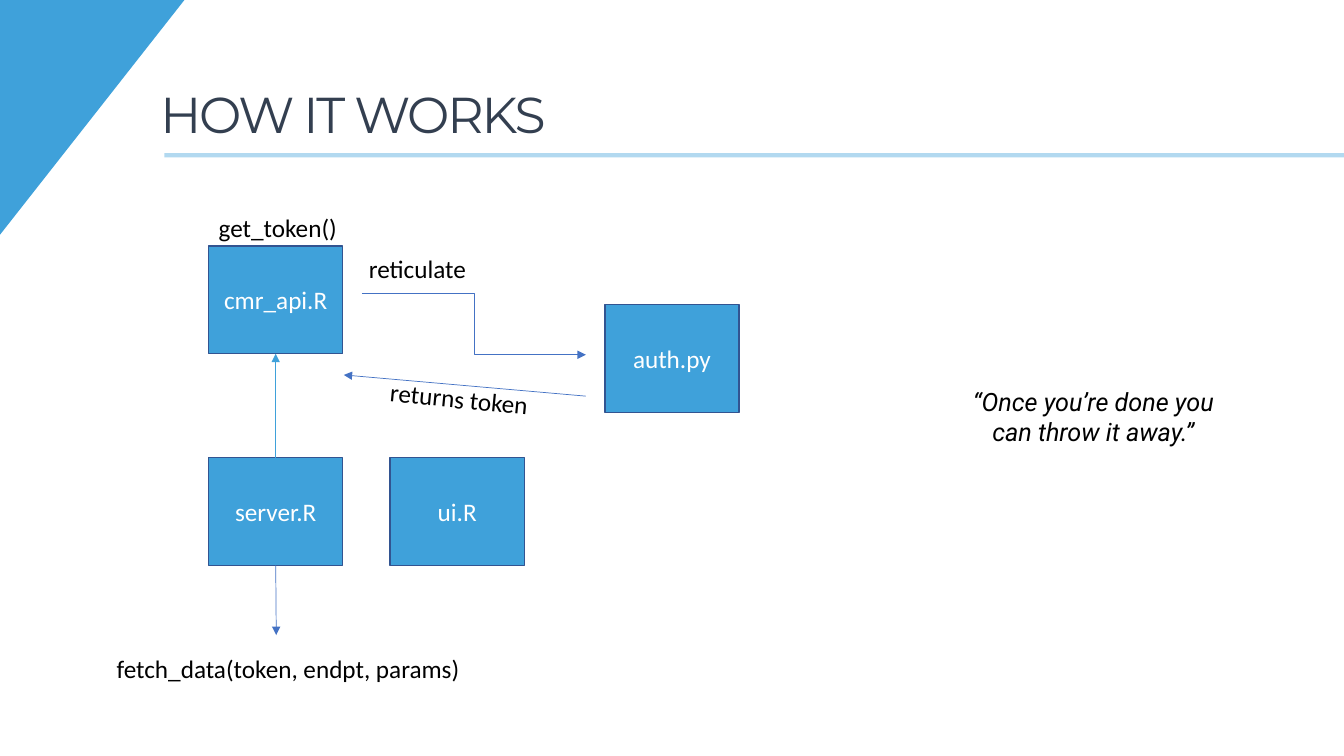
import pptx
import pptx.util
import pptx.dml.color
import pptx.enum.shapes
import pptx.enum.text
import pptx.oxml
import pptx.oxml.ns

RGB = pptx.dml.color.RGBColor
SHAPE = pptx.enum.shapes.MSO_SHAPE
LINK = pptx.enum.shapes.MSO_CONNECTOR
ALIGN = pptx.enum.text.PP_ALIGN
ANCHOR = pptx.enum.text.MSO_ANCHOR

SKY = RGB(0x3F, 0xA1, 0xDA)
BLUE = RGB(0x44, 0x72, 0xC4)
EDGE = RGB(0x32, 0x54, 0x91)
SLATE = RGB(0x33, 0x3F, 0x50)
BLACK = RGB(0, 0, 0)
WHITE = RGB(255, 255, 255)

SCALE = 9144  # EMU per px, 100 px to the inch
BOX_W, BOX_H = 133, 107


def px(*sizes):
    return [pptx.util.Emu(size * SCALE) for size in sizes]


def add_xml(parent, tag, **attrs):
    node = pptx.oxml.parse_xml(f"<{tag} {pptx.oxml.ns.nsdecls('a')}/>")
    for key, value in attrs.items():
        node.set(key, value)
    parent.append(node)


def set_text(frame, text, color, font="Calibri", size=18, align=ALIGN.LEFT):
    frame.text = text
    frame.word_wrap = True
    par = frame.paragraphs[0]
    par.alignment = align
    run = par.runs[0]
    run.font.name = font
    run.font.size = pptx.util.Pt(size)
    run.font.color.rgb = color
    return run


def add_title(slide, text):
    title = slide.shapes.title
    title.left, title.top, title.width, title.height = px(149, 84, 1093, 101)
    frame = title.text_frame
    run = set_text(frame, text, SLATE, "Montserrat", 36)
    run.font._element.set("spc", "-150")
    frame.vertical_anchor = ANCHOR.TOP
    frame.paragraphs[0].line_spacing = 0.9


def add_corner(slide):
    corner = slide.shapes.add_shape(SHAPE.RIGHT_TRIANGLE, *px(0, 0, 183, 233))
    corner.shadow.inherit = False
    corner.fill.solid()
    corner.fill.fore_color.rgb = SKY
    corner.line.fill.background()
    corner._element.spPr.xfrm.set("flipV", "1")


def add_box(slide, text, left, top):
    box = slide.shapes.add_shape(SHAPE.RECTANGLE, *px(left, top, BOX_W, BOX_H))
    box.shadow.inherit = False
    box.fill.solid()
    box.fill.fore_color.rgb = SKY
    box.line.color.rgb = EDGE
    box.line.width = pptx.util.Pt(1)
    set_text(box.text_frame, text, WHITE, align=ALIGN.CENTER)
    box.text_frame.vertical_anchor = ANCHOR.MIDDLE
    return box


def add_label(slide, text, left, top, width, height=40, turn=0, **style):
    label = slide.shapes.add_textbox(*px(left, top, width, height))
    label.rotation = turn
    return set_text(label.text_frame, text, BLACK, **style)


def add_line(slide, start, end, color, width=0.5, kind=LINK.STRAIGHT):
    line = slide.shapes.add_connector(kind, *px(*start, *end))
    line.line.color.rgb = color
    line.line.width = pptx.util.Pt(width)
    add_xml(line._element.spPr, "a:effectLst")
    return line


def add_arrow(slide, start, end, color=BLUE, kind=LINK.STRAIGHT):
    arrow = add_line(slide, start, end, color, kind=kind)
    add_xml(arrow.line._get_or_add_ln(), "a:tailEnd", type="triangle")
    return arrow


def main():
    deck = pptx.Presentation()
    deck.slide_width, deck.slide_height = px(1333, 750)
    slide = deck.slides.add_slide(deck.slide_layouts[5])

    # Heading and decoration
    rule = add_line(slide, (1333, 154), (163, 154), SKY, 3)
    tint = rule.line._get_or_add_ln().find(".//" + pptx.oxml.ns.qn("a:srgbClr"))
    add_xml(tint, "a:alpha", val="40000")
    add_corner(slide)
    add_title(slide, "HOW IT WORKS")

    # Script files
    client = add_box(slide, "cmr_api.R", 207, 244)
    add_box(slide, "auth.py", 600, 302)
    server = add_box(slide, "server.R", 207, 454)
    add_box(slide, "ui.R", 387, 454)

    # Calls between them
    call = add_arrow(slide, (274, 454), (274, 352), SKY)
    call.begin_connect(server, 0)
    call.end_connect(client, 2)
    fetch = add_arrow(slide, (274, 561), (274, 630))
    fetch.begin_connect(server, 2)
    add_arrow(slide, (359, 291), (581, 352), kind=LINK.ELBOW)
    add_arrow(slide, (581, 393), (341, 372))

    # Labels
    add_label(slide, "get_token()", 207, 206, 165)
    add_label(slide, "reticulate", 356, 246, 169)
    add_label(slide, "returns token", 377, 376, 169, turn=5.6)
    add_label(slide, "fetch_data(token, endpt, params)", 106, 643, 370)

    # Quote
    quote = add_label(slide, "“Once you’re done you can throw it away.”",
                      948, 378, 273, 71, font="Roboto", align=ALIGN.CENTER)
    quote.font.italic = True

    deck.save("out.pptx")


if __name__ == "__main__":
    main()
